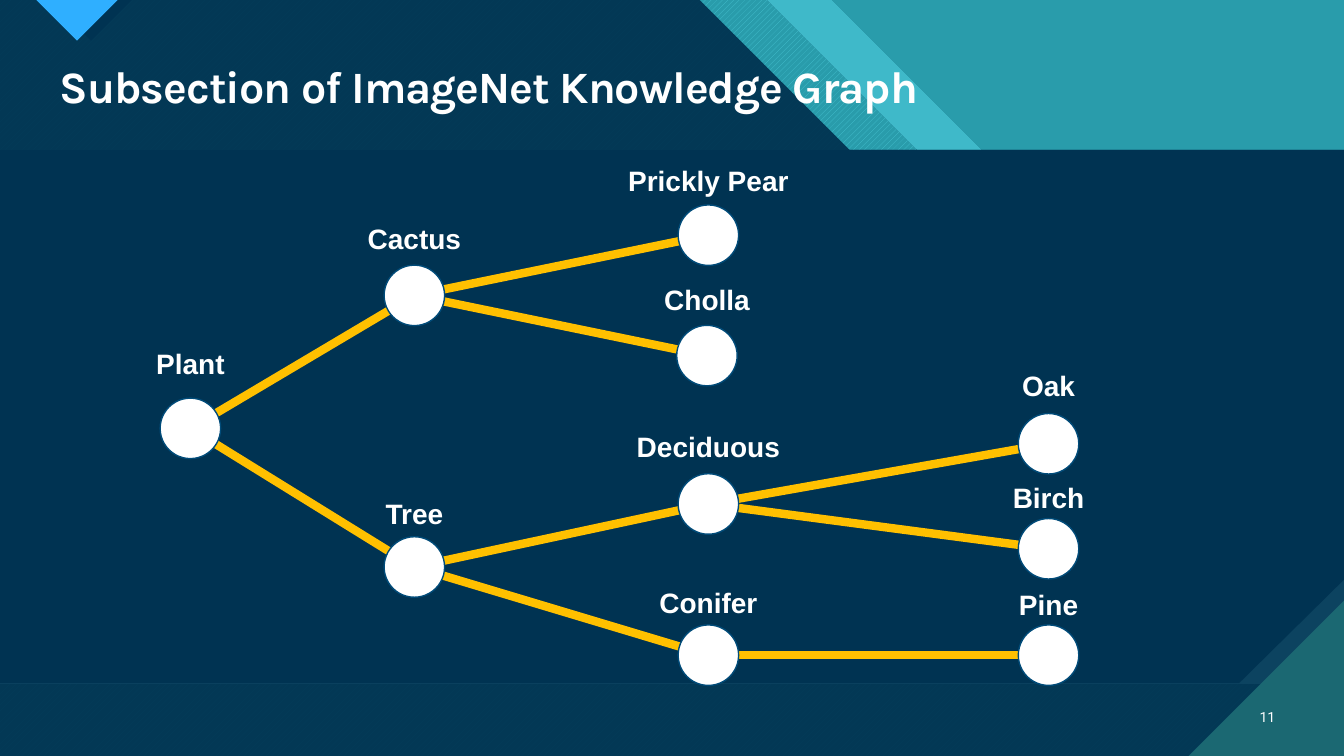
"""Build the plant knowledge graph slide."""
from dataclasses import dataclass

from lxml import etree
from pptx import Presentation
from pptx import util as u
from pptx.dml.color import RGBColor
from pptx.enum import dml, shapes, text
from pptx.oxml import ns


@dataclass(frozen=True)
class Theme:
    navy: str = "003352"
    navy_tint: str = "033855"
    navy_stripe: str = "053D5A"
    fold: str = "0C4360"
    teal: str = "299CAB"
    teal_stripe: str = "47C3D3"
    teal_light: str = "3FB9C9"
    green: str = "1B6872"
    blue: str = "2FAFFF"
    white: str = "FFFFFF"
    edge: str = "FFC000"
    outline: str = "004B79"
    title_size: int = 32
    label_size: int = 20
    number_size: int = 10
    edge_width: int = 6
    node_size: float = 43.2


class Board:
    def __init__(self, slide, theme):
        self.slide = slide
        self.items = slide.shapes
        self.theme = theme

    def paint(self, fill, color, stripe=None):
        if stripe is None:
            fill.solid()
            fill.fore_color.rgb = RGBColor.from_string(color)
        else:
            fill.patterned()
            fill.pattern = dml.MSO_PATTERN.WIDE_UPWARD_DIAGONAL
            fill.fore_color.rgb = RGBColor.from_string(stripe)
            fill.back_color.rgb = RGBColor.from_string(color)

    def finish(self, item, color, stripe=None, outline=None):
        item.shadow.inherit = False
        self.paint(item.fill, color, stripe)
        if outline is None:
            item.line.fill.background()
        else:
            item.line.color.rgb = RGBColor.from_string(outline)
            item.line.width = u.Pt(1)

    def polygon(self, points, color, stripe=None):
        builder = self.items.build_freeform(*points[0], scale=u.Pt(1))
        builder.add_line_segments(points[1:], close=True)
        self.finish(builder.convert_to_shape(), color, stripe)

    def shape(self, kind, left, top, width, height, color, outline=None):
        item = self.items.add_shape(
            kind, u.Pt(left), u.Pt(top), u.Pt(width), u.Pt(height))
        self.finish(item, color, outline=outline)

    def node(self, x, y):
        size = self.theme.node_size
        self.shape(shapes.MSO_SHAPE.OVAL, x - size / 2, y - size / 2, size, size,
                   self.theme.white, self.theme.outline)

    def edge(self, start, end):
        line = self.items.add_connector(
            shapes.MSO_CONNECTOR.STRAIGHT, *(u.Pt(v) for v in (*start, *end)))
        line.line.color.rgb = RGBColor.from_string(self.theme.edge)
        line.line.width = u.Pt(self.theme.edge_width)
        etree.SubElement(line.element.spPr, ns.qn("a:effectLst"))

    def label(self, words, left, top, width, height, *, size, font="Arial",
              bold=False, align=text.PP_ALIGN.LEFT,
              anchor=text.MSO_ANCHOR.TOP, leading=None, spacing=None):
        box = self.items.add_textbox(
            u.Pt(left), u.Pt(top), u.Pt(width), u.Pt(height))
        frame = box.text_frame
        frame.word_wrap = True
        frame.vertical_anchor = anchor
        line = frame.paragraphs[0]
        line.alignment = align
        line.line_spacing = leading
        run = line.add_run()
        run.text = words
        run.font.name = font
        run.font.size = u.Pt(size)
        run.font.bold = bold
        run.font.color.rgb = RGBColor.from_string(self.theme.white)
        if spacing is not None:
            run.font._element.set("spc", str(round(spacing * 100)))


WIDTH, HEIGHT = 960, 540
HEADER, PANEL_END = 107, 488.5
SNIP, CORNER = 75, 111
LABEL_WIDTH, LABEL_HEIGHT = 146, 32

PLANTS = {
    "Plant": (136, 306, 244, None),
    "Cactus": (296, 211, 155, "Plant"),
    "Tree": (296, 405, 351, "Plant"),
    "Prickly Pear": (506, 168, 113, "Cactus"),
    "Cholla": (505, 254, 198, "Cactus"),
    "Deciduous": (506, 360, 303, "Tree"),
    "Conifer": (506, 468, 415, "Tree"),
    "Oak": (749, 317, 260, "Deciduous"),
    "Birch": (749, 392, 340, "Deciduous"),
    "Pine": (749, 468, 416, "Conifer"),
}


def draw_backdrop(board):
    theme = board.theme
    board.paint(board.slide.background.fill, theme.navy_tint, theme.navy_stripe)

    bands = [(500, 548, theme.teal, theme.teal_stripe),
             (548, 594, theme.teal_light, None)]
    board.polygon([(594, 0), (WIDTH, 0), (WIDTH, HEADER), (594 + HEADER, HEADER)],
                  theme.teal)
    for left, right, color, stripe in bands:
        board.polygon([(left, 0), (right, 0), (right + HEADER, HEADER),
                       (left + HEADER, HEADER)], color, stripe)

    for left, color in ((36, theme.navy), (26, theme.blue)):
        board.polygon([(left, 0), (left + 58, 0), (left + 29, 29)], color)

    board.shape(shapes.MSO_SHAPE.RECTANGLE, 0, HEADER, WIDTH, PANEL_END - HEADER,
                theme.fold)
    board.polygon([(0, HEADER), (WIDTH, HEADER), (WIDTH, PANEL_END - SNIP),
                   (WIDTH - SNIP, PANEL_END), (0, PANEL_END)], theme.navy)
    board.polygon([(WIDTH - CORNER, HEIGHT), (WIDTH, HEIGHT),
                   (WIDTH, HEIGHT - CORNER)], theme.green)


def draw_graph(board):
    for x, y, _, parent in PLANTS.values():
        if parent:
            board.edge(PLANTS[parent][:2], (x, y))
    for plant, (x, y, label_top, _) in PLANTS.items():
        board.node(x, y)
        board.label(plant, x - LABEL_WIDTH / 2, label_top, LABEL_WIDTH,
                    LABEL_HEIGHT, size=board.theme.label_size, bold=True,
                    align=text.PP_ALIGN.CENTER)


def main():
    deck = Presentation()
    deck.slide_width, deck.slide_height = u.Pt(WIDTH), u.Pt(HEIGHT)
    theme = Theme()
    board = Board(deck.slides.add_slide(deck.slide_layouts[6]), theme)
    draw_backdrop(board)
    board.label("Subsection of ImageNet Knowledge Graph", 35.5, 42.5, 883, 42.5,
                size=theme.title_size, font="Karla", bold=True,
                leading=0.9, spacing=-0.7)
    board.label("11", 886, 497.5, 32, 29, size=theme.number_size, font="Roboto",
                align=text.PP_ALIGN.RIGHT, anchor=text.MSO_ANCHOR.MIDDLE)
    draw_graph(board)
    deck.save("out.pptx")


if __name__ == "__main__":
    main()
